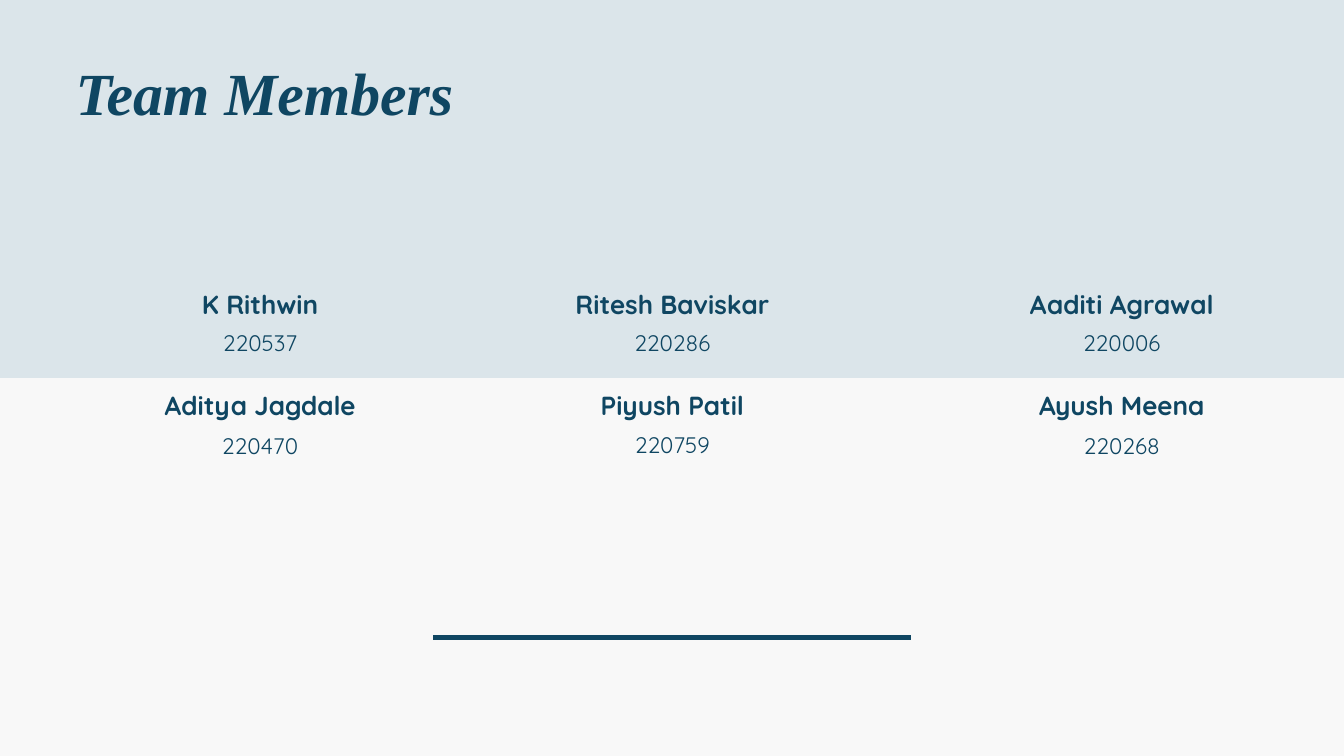
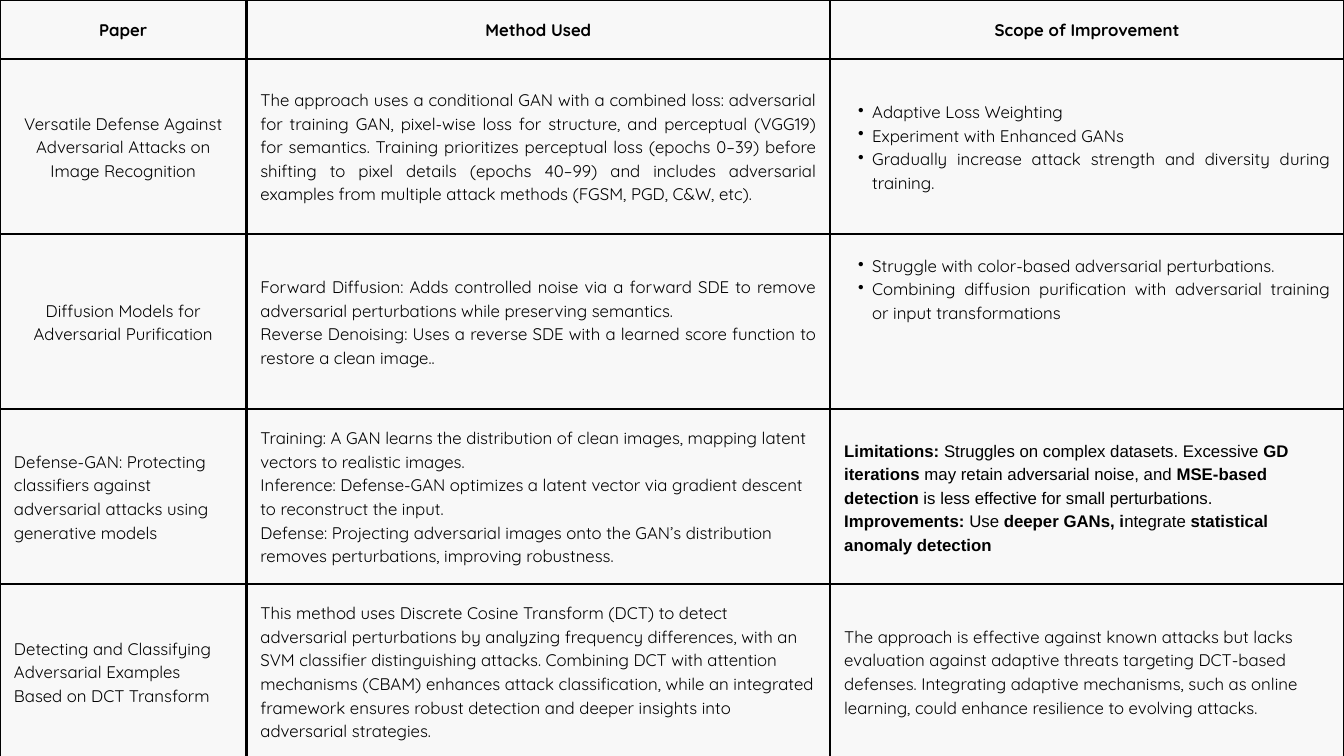
from lxml.etree import SubElement
from pptx import Presentation
from pptx.dml.color import RGBColor
from pptx.enum.shapes import MSO_CONNECTOR as Connector, MSO_SHAPE as Preset
from pptx.enum.text import MSO_ANCHOR as Anchor, MSO_AUTO_SIZE as AutoSize, PP_ALIGN as Align
from pptx.oxml.ns import qn
from pptx.util import Emu, Pt

# Shared look
NAVY, MIST, PAPER_WHITE, BLACK = "0F4662", "DBE5EA", "F8F8F8", "000000"
BODY_FONT, TITLE_FONT, ACCENT_FONT = "Quicksand", "Times New Roman", "Arial"
LEADING = 1.4
EMU_PER_PX = 9525
SLIDE_W, SLIDE_H = 1920, 1080

# Team slide: name top, then (name, number, number top) from left to right
TEAM_TITLE = "Team Members"
TEAM_ROWS = [
    (404, [("K Rithwin", "220537", 464),
           ("Ritesh Baviskar", "220286", 464),
           ("Aaditi Agrawal", "220006", 464)]),
    (549, [("Aditya Jagdale", "220470", 611),
           ("Piyush Patil", "220759", 609),
           ("Ayush Meena", "220268", 611)]),
]
MEMBER_LEFTS, MEMBER_W = (108, 697, 1339), 527
NAME_H, NUMBER_H = 52, 43

# Paper table: each cell is (style, paragraphs); ** switches bold on and off
PAPER_COLS = (352, 834, 734)
HEADER_H, PAPER_H = 84, 250
CELL_INSET, BULLET_INDENT = 20, 20
RAISED_INSET = 114
PAPER_ROWS = [
    [("center", ["**Paper**"]),
     ("center", ["**Method Used**"]),
     ("center", ["**Scope of Improvement**"])],
    [("center", ["Versatile Defense Against Adversarial Attacks on", "Image Recognition"]),
     ("justify", [
         "The approach uses a conditional GAN with a combined loss: adversarial for training "
         "GAN, pixel-wise loss for structure, and perceptual (VGG19) for semantics. Training "
         "prioritizes perceptual loss (epochs 0–39) before shifting to pixel details (epochs "
         "40–99) and includes adversarial examples from multiple attack methods (FGSM, PGD, "
         "C&W, etc)."]),
     ("bullets", [
         "Adaptive Loss Weighting",
         "Experiment with Enhanced GANs",
         "Gradually increase attack strength and diversity during training."])],
    [("center", ["Diffusion Models for Adversarial Purification"]),
     ("justify", [
         "Forward Diffusion: Adds controlled noise via a forward SDE to remove adversarial "
         "perturbations while preserving semantics.",
         "Reverse Denoising: Uses a reverse SDE with a learned score function to restore a "
         "clean image.."]),
     ("raised bullets", [
         "Struggle with color-based adversarial perturbations.",
         "Combining diffusion purification with adversarial training or input "
         "transformations"])],
    [("left", ["Defense-GAN: Protecting classifiers against adversarial attacks using "
               "generative models"]),
     ("left", [
         "Training: A GAN learns the distribution of clean images, mapping latent vectors to "
         "realistic images.",
         "Inference: Defense-GAN optimizes a latent vector via gradient descent to "
         "reconstruct the input.",
         "Defense: Projecting adversarial images onto the GAN’s distribution removes "
         "perturbations, improving robustness."]),
     ("accent", [
         "**Limitations:** Struggles on complex datasets. Excessive **GD iterations** may "
         "retain adversarial noise, and **MSE-based detection** is less effective for small "
         "perturbations.",
         "**Improvements:** Use **deeper GANs, i**ntegrate **statistical anomaly "
         "detection**"])],
    [("left", ["Detecting and Classifying Adversarial Examples Based on DCT Transform"]),
     ("left", [
         "This method uses Discrete Cosine Transform (DCT) to detect adversarial "
         "perturbations by analyzing frequency differences, with an SVM classifier "
         "distinguishing attacks. Combining DCT with attention mechanisms (CBAM) enhances "
         "attack classification, while an integrated framework ensures robust detection and "
         "deeper insights into adversarial strategies."]),
     ("left", [
         "The approach is effective against known attacks but lacks evaluation against "
         "adaptive threats targeting DCT-based defenses. Integrating adaptive mechanisms, "
         "such as online learning, could enhance resilience to evolving attacks."])],
]
CELL_ALIGN = {"center": Align.CENTER, "justify": Align.JUSTIFY, "bullets": Align.JUSTIFY,
              "raised bullets": Align.JUSTIFY}


def px(length):
    return Emu(length * EMU_PER_PX)


def box(left, top, width, height):
    return [px(length) for length in (left, top, width, height)]


def color(hex_code):
    return RGBColor.from_string(hex_code)


def style_run(run, size, font, hex_code, bold=False, italic=False):
    run.font.size, run.font.name = Pt(size), font
    run.font.bold, run.font.italic = bold, italic
    run.font.color.rgb = color(hex_code)


def set_line(shape, text, size, font=BODY_FONT, align=Align.LEFT, **weight):
    frame = shape.text_frame
    frame.text = text
    frame.word_wrap = True
    frame.auto_size = AutoSize.SHAPE_TO_FIT_TEXT
    frame.vertical_anchor = Anchor.TOP
    frame.margin_left = frame.margin_top = frame.margin_right = frame.margin_bottom = 0
    line = frame.paragraphs[0]
    line.alignment, line.line_spacing = align, Pt(size * LEADING)
    style_run(line.runs[0], size, font, NAVY, **weight)


def add_bullet(paragraph):
    paragraph.level = 1
    props = paragraph._p.get_or_add_pPr()
    props.set("marL", str(px(2 * BULLET_INDENT)))
    props.set("indent", str(px(-BULLET_INDENT)))
    SubElement(props, qn("a:buChar")).set("char", "•")


def add_borders(cell, width=3):
    props = cell._tc.get_or_add_tcPr()
    for side in ("a:lnL", "a:lnR", "a:lnT", "a:lnB"):
        border = SubElement(props, qn(side), w=str(Pt(width)))
        fill = SubElement(border, qn("a:solidFill"))
        SubElement(fill, qn("a:srgbClr")).set("val", BLACK)


def fill_cell(cell, style, texts, size=18):
    add_borders(cell)
    cell.fill.background()
    cell.vertical_anchor = Anchor.MIDDLE
    cell.margin_left = cell.margin_right = cell.margin_top = px(CELL_INSET)
    cell.margin_bottom = px(RAISED_INSET if style == "raised bullets" else CELL_INSET)
    font = ACCENT_FONT if style == "accent" else BODY_FONT
    frame = cell.text_frame
    for index, text in enumerate(texts):
        paragraph = frame.add_paragraph() if index else frame.paragraphs[0]
        paragraph.alignment = CELL_ALIGN.get(style, Align.LEFT)
        paragraph.line_spacing = Pt(size * LEADING)
        if style.endswith("bullets"):
            add_bullet(paragraph)
        for part, words in enumerate(text.split("**")):
            if words:
                run = paragraph.add_run()
                run.text = words
                style_run(run, size, font, BLACK, bold=part % 2 == 1)


def build_team(prs):
    slide = prs.slides.add_slide(prs.slide_layouts[5])
    shapes = slide.shapes
    title = shapes.title

    # Upper band, behind the title
    band = shapes.add_shape(Preset.RECTANGLE, *box(0, 0, SLIDE_W, SLIDE_H // 2))
    band.shadow.inherit = False
    band.fill.solid()
    band.fill.fore_color.rgb = color(MIST)
    band.line.fill.background()
    title._element.addprevious(band._element)

    title.left, title.top, title.width, title.height = box(108, 63, 1041, 114)
    set_line(title, TEAM_TITLE, 64, TITLE_FONT, bold=True, italic=True)

    # Members
    for name_top, members in TEAM_ROWS:
        for left, (name, number, number_top) in zip(MEMBER_LEFTS, members):
            name_box = shapes.add_textbox(*box(left, name_top, MEMBER_W, NAME_H))
            set_line(name_box, name, 28, align=Align.CENTER, bold=True)
            number_box = shapes.add_textbox(*box(left, number_top, MEMBER_W, NUMBER_H))
            set_line(number_box, number, 24, align=Align.CENTER)

    # Closing rule
    rule = shapes.add_connector(Connector.STRAIGHT, px(619), px(911), px(1301), px(911))
    rule.line.color.rgb = color(NAVY)
    rule.line.width = Pt(6)
    SubElement(rule._element.spPr, qn("a:effectLst"))


def build_papers(prs):
    slide = prs.slides.add_slide(prs.slide_layouts[6])
    heights = [HEADER_H] + [PAPER_H] * (len(PAPER_ROWS) - 1)
    papers = slide.shapes.add_table(len(heights), len(PAPER_COLS),
                                    *box(0, 0, SLIDE_W, sum(heights))).table
    papers.first_row = papers.horz_banding = False
    for column, width in zip(papers.columns, PAPER_COLS):
        column.width = px(width)
    for row, height, contents in zip(papers.rows, heights, PAPER_ROWS):
        row.height = px(height)
        for cell, (style, texts) in zip(row.cells, contents):
            fill_cell(cell, style, texts)


def main():
    prs = Presentation()
    prs.slide_width, prs.slide_height = px(SLIDE_W), px(SLIDE_H)
    backdrop = prs.slide_master.background.fill
    backdrop.solid()
    backdrop.fore_color.rgb = color(PAPER_WHITE)
    build_team(prs)
    build_papers(prs)
    prs.save("out.pptx")


if __name__ == "__main__":
    main()
